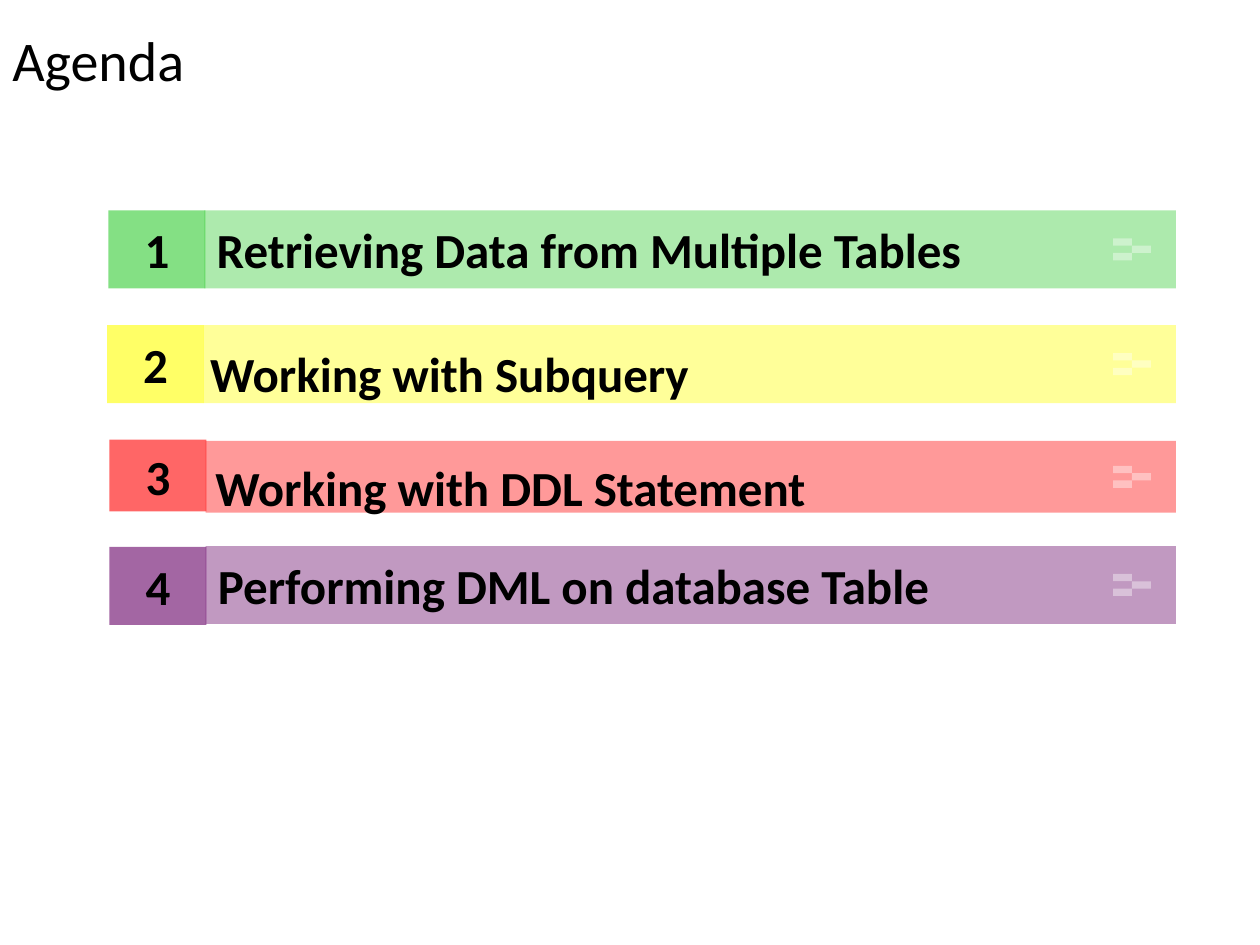
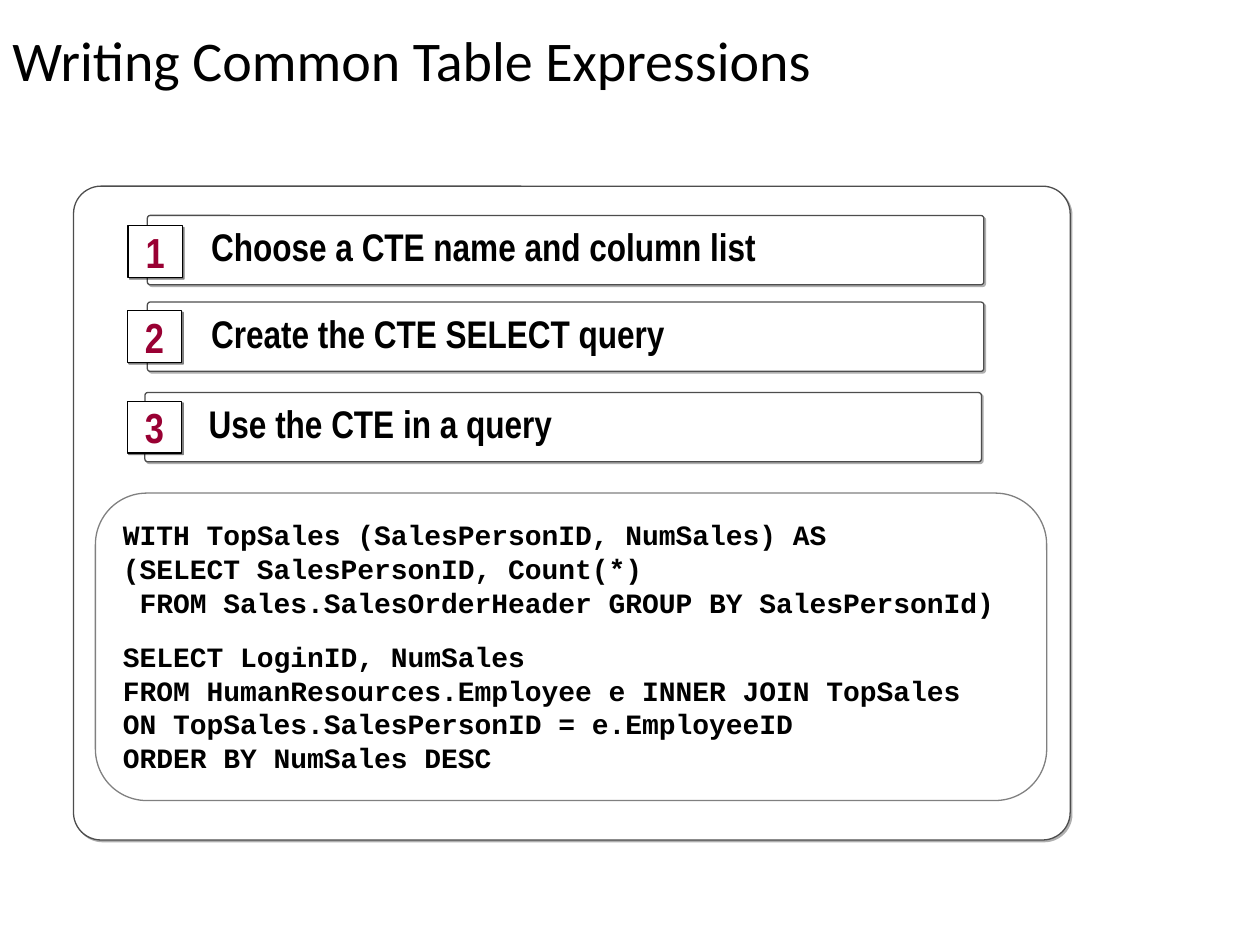
from lxml.etree import SubElement
from pptx import Presentation
from pptx.dml.color import RGBColor
from pptx.enum.shapes import MSO_SHAPE
from pptx.enum.text import MSO_ANCHOR, PP_ALIGN
from pptx.oxml.ns import qn
from pptx.util import Pt

BLACK = RGBColor(0, 0, 0)
WHITE = RGBColor(255, 255, 255)
GREEN = RGBColor(0x33, 0xCC, 0x33)
YELLOW = RGBColor(0xFF, 0xFF, 0)
RED = RGBColor(0xFF, 0, 0)
PURPLE = RGBColor(0x66, 0, 0x66)
CRIMSON = RGBColor(0x99, 0, 0x33)
DARK_GRAY = RGBColor(0x4D, 0x4D, 0x4D)
MID_GRAY = RGBColor(0x80, 0x80, 0x80)
SHADOW_GRAY = RGBColor(0xAF, 0xAF, 0xAF)

BODY_FONT = "Calibri"
STEP_FONT = "Arial Narrow"
CODE_FONT = "Courier New"

AGENDA_TITLE = "Agenda"
AGENDA = [
    dict(text="Retrieving Data from Multiple Tables", color=GREEN, height=44.6,
         badge=(62, 120.2), bar=(116.8, 120.2), label=None),
    dict(text="Working with Subquery", color=YELLOW, height=44.6,
         badge=(61.2, 185.8), bar=(116.5, 185.8), label=(113, 193)),
    dict(text="Working with DDL Statement", color=RED, height=41,
         badge=(62.6, 251.3), bar=(117.5, 252), label=(116, 257.8)),
    dict(text="Performing DML on database Table", color=PURPLE, height=44.6,
         badge=(62.6, 312.5), bar=(117.5, 312), label=None),
]
BADGE_WIDTH = 55.4
BAR_RIGHT = 672
GLYPH_LEFT = 636
GLYPH_PIECE = (10.8, 4.2)

STEPS_TITLE = "Writing Common Table Expressions"
STEPS = [
    dict(text="Choose a CTE name and column list", bar=(84.2, 123.1), badge=(73.2, 129)),
    dict(text="Create the CTE SELECT query", bar=(84.2, 172.6), badge=(72.7, 177.5)),
    dict(text="Use the CTE in a query", bar=(82.8, 224.3), badge=(72.7, 229.3)),
]
QUERY_BLOCKS = [
    ["WITH TopSales (SalesPersonID, NumSales) AS",
     "(SELECT SalesPersonID, Count(*)",
     " FROM Sales.SalesOrderHeader GROUP BY SalesPersonId)"],
    ["SELECT LoginID, NumSales",
     "FROM HumanResources.Employee e INNER JOIN TopSales",
     "ON TopSales.SalesPersonID = e.EmployeeID",
     "ORDER BY NumSales DESC"],
]
BLOCK_GAP = 12


def write_text(shape, lines, *, size, font=BODY_FONT, color=BLACK, bold=True,
               align=PP_ALIGN.LEFT, anchor=MSO_ANCHOR.MIDDLE, spacing=1.0,
               left_inset=7.2, top_inset=3.6):
    frame = shape.text_frame
    frame.word_wrap = True
    frame.vertical_anchor = anchor
    frame.margin_left, frame.margin_right = Pt(left_inset), Pt(7.2)
    frame.margin_top, frame.margin_bottom = Pt(top_inset), Pt(3.6)
    frame.text = "\n".join(lines)
    for paragraph in frame.paragraphs:
        paragraph.alignment = align
        paragraph.line_spacing = spacing
        paragraph.font.name = font
        paragraph.font.size = Pt(size)
        paragraph.font.bold = bold
        paragraph.font.color.rgb = color
    return frame


def add_text_box(slide, text, box, **text_format):
    write_text(slide.shapes.add_textbox(*map(Pt, box)), [text], **text_format)


def set_alpha(color_element, percent):
    SubElement(color_element, qn("a:alpha")).set("val", str(percent * 1000))


def add_block(slide, box, fill, *, alpha=100, line=None, rounding=None, shadow=None):
    kind = MSO_SHAPE.RECTANGLE if rounding is None else MSO_SHAPE.ROUNDED_RECTANGLE
    shape = slide.shapes.add_shape(kind, *map(Pt, box))
    if rounding is not None:
        shape.adjustments[0] = rounding
    shape.fill.solid()
    shape.fill.fore_color.rgb = fill
    if alpha < 100:
        set_alpha(shape._element.xpath("p:spPr/a:solidFill/a:srgbClr")[0], alpha)
    if line is None:
        shape.line.fill.background()
    else:
        shape.line.color.rgb = line
        shape.line.width = Pt(0.75)
    shape.shadow.inherit = False
    if shadow:
        color, opacity = shadow
        effects = shape._element.spPr.find(qn("a:effectLst"))
        outer = SubElement(effects, qn("a:outerShdw"), blurRad="0",
                           dist=str(Pt(1.4)), dir="2700000", algn="ctr", rotWithShape="0")
        set_alpha(SubElement(outer, qn("a:srgbClr"), val=str(color)), opacity)
    return shape


def add_titled_slide(presentation, title):
    slide = presentation.slides.add_slide(presentation.slide_layouts[6])
    add_text_box(slide, title, (0, 0, 595.4, 72), size=32, bold=False, spacing=0.9)
    return slide


def add_glyph(slide, middle):
    width, height = GLYPH_PIECE
    for index in range(3):
        left = GLYPH_LEFT + (index % 2) * width
        top = middle + (index - 1.5) * height
        add_block(slide, (left, top, width, height), WHITE, alpha=40)


def build_agenda(presentation):
    slide = add_titled_slide(presentation, AGENDA_TITLE)
    for number, row in enumerate(AGENDA, 1):
        height = row["height"]
        badge = add_block(slide, (*row["badge"], BADGE_WIDTH, height), row["color"], alpha=60)
        write_text(badge, [str(number)], size=28, align=PP_ALIGN.CENTER)
        left, top = row["bar"]
        bar = add_block(slide, (left, top, BAR_RIGHT - left, height), row["color"], alpha=40)
        add_glyph(slide, top + height / 2)
        if row["label"]:
            add_text_box(slide, row["text"], (*row["label"], 422, 41), size=28,
                         anchor=MSO_ANCHOR.TOP)
        else:
            write_text(bar, [row["text"]], size=28)


def build_steps(presentation):
    slide = add_titled_slide(presentation, STEPS_TITLE)
    card = dict(line=DARK_GRAY, rounding=0.042, shadow=(SHADOW_GRAY, 100))
    add_block(slide, (42, 106.4, 569.5, 373.6), WHITE, **card)
    for number, step in enumerate(STEPS, 1):
        bar = add_block(slide, (*step["bar"], 478, 39.6), WHITE, **card)
        write_text(bar, [step["text"]], size=22, font=STEP_FONT, spacing=0.85, left_inset=36)
        badge = add_block(slide, (*step["badge"], 31, 29.5), WHITE, line=BLACK,
                          rounding=0, shadow=(BLACK, 50))
        write_text(badge, [str(number)], size=24, font=STEP_FONT, color=CRIMSON,
                   align=PP_ALIGN.CENTER)
    panel = add_block(slide, (54.5, 281.8, 543.6, 175.7), WHITE, line=MID_GRAY, rounding=0.167)
    frame = write_text(panel, sum(QUERY_BLOCKS, []), size=16, font=CODE_FONT,
                       anchor=MSO_ANCHOR.TOP, spacing=Pt(19.2), top_inset=5.6)
    frame.paragraphs[len(QUERY_BLOCKS[0])].space_before = Pt(BLOCK_GAP)


def main():
    presentation = Presentation()
    presentation.slide_width, presentation.slide_height = Pt(720), Pt(540)
    build_agenda(presentation)
    build_steps(presentation)
    presentation.save("out.pptx")


if __name__ == "__main__":
    main()
